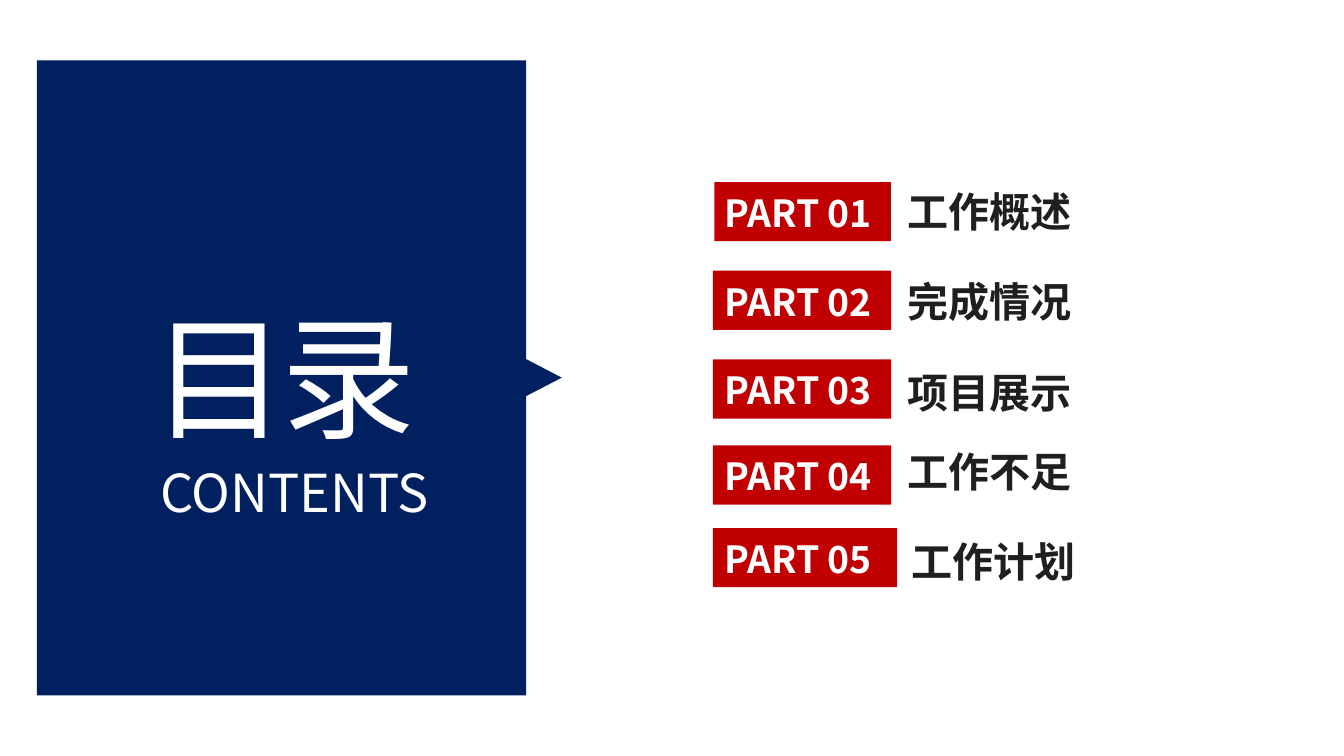
"""Build a contents slide with a navy title panel and five numbered parts."""
from dataclasses import dataclass

from lxml import etree
from pptx import Presentation
from pptx import util as u
from pptx.dml.color import RGBColor
from pptx.enum import shapes, text
from pptx.oxml import ns

WIDTH, HEIGHT = u.Pt(720), u.Pt(405)
COLUMNS, ROWS = 100, 56.25


@dataclass(frozen=True)
class Theme:
    font: str = "Noto Sans CJK SC"
    navy: str = "002060"
    red: str = "C00000"
    white: str = "FFFFFF"
    ink: str = "1F1F1F"
    title_size: int = 72
    subtitle_size: int = 28
    part_size: int = 20
    topic_size: int = 22


@dataclass(frozen=True)
class Area:
    column: float
    row: float
    columns: float
    rows: float

    def frame(self) -> dict:
        return {
            "left": round(WIDTH * self.column / COLUMNS),
            "top": round(HEIGHT * self.row / ROWS),
            "width": round(WIDTH * self.columns / COLUMNS),
            "height": round(HEIGHT * self.rows / ROWS),
        }


@dataclass(frozen=True)
class Style:
    size: int
    color: str
    bold: bool = False
    align: text.PP_ALIGN = text.PP_ALIGN.LEFT
    anchor: text.MSO_ANCHOR = text.MSO_ANCHOR.TOP


@dataclass(frozen=True)
class Part:
    topic: str
    badge_row: float
    topic_row: float
    badge_column: float = 53.05
    badge_end: float = 66.3
    topic_column: float = 66.8


THEME = Theme()
CENTER, MIDDLE = text.PP_ALIGN.CENTER, text.MSO_ANCHOR.MIDDLE
TITLE = Style(THEME.title_size, THEME.white, False, CENTER, MIDDLE)
SUBTITLE = Style(THEME.subtitle_size, THEME.white, False, CENTER)
BADGE = Style(THEME.part_size, THEME.white, True)
TOPIC = Style(THEME.topic_size, THEME.ink, True)

PARTS = [
    Part("工作概述", 13.55, 13.5, badge_column=53.15),
    Part("完成情况", 20.15, 20.2),
    Part("项目展示", 26.75, 26.95),
    Part("工作不足", 33.15, 32.85),
    Part("工作计划", 39.3, 39.5, badge_end=66.75, topic_column=67.1),
]


def apply(target, values: dict) -> None:
    for name, value in values.items():
        setattr(target, name, value)


def draw_block(page, kind, area: Area, color: str, rotation: float = 0) -> None:
    block = page.shapes.add_shape(kind, **area.frame())
    block.shadow.inherit = False
    block.rotation = rotation
    block.fill.solid()
    block.fill.fore_color.rgb = RGBColor.from_string(color)
    block.line.fill.background()


def write(box, words: str, style: Style):
    apply(box.text_frame, {
        "word_wrap": True,
        "auto_size": text.MSO_AUTO_SIZE.SHAPE_TO_FIT_TEXT,
        "vertical_anchor": style.anchor,
        "margin_left": u.Inches(0.07),
        "margin_right": u.Inches(0.07),
        "margin_top": u.Inches(0.04),
        "margin_bottom": u.Inches(0.04),
    })
    para = box.text_frame.paragraphs[0]
    para.alignment = style.align
    span = para.add_run()
    span.text = words
    apply(span.font, {"name": THEME.font, "size": u.Pt(style.size), "bold": style.bold})
    span.font.color.rgb = RGBColor.from_string(style.color)
    east_asian = etree.Element(ns.qn("a:ea"), typeface=THEME.font)
    span.font._element.find(ns.qn("a:latin")).addnext(east_asian)
    return span


def draw_text(page, area: Area, words: str, style: Style) -> None:
    write(page.shapes.add_textbox(**area.frame()), words, style)


def draw_title(page, area: Area, words: str) -> None:
    title = page.shapes.title
    apply(title, area.frame())
    span = write(title, words, TITLE)
    span.font._element.set("spc", "-300")
    page.shapes._spTree.append(title._element)


def draw_part(page, number: int, part: Part) -> None:
    badge = Area(part.badge_column, part.badge_row, part.badge_end - part.badge_column, 4.4)
    draw_block(page, shapes.MSO_SHAPE.RECTANGLE, badge, THEME.red)
    draw_text(page, Area(53.2, part.badge_row + 0.2, 13.9, 4.1), f"PART {number:02d}", BADGE)
    draw_text(page, Area(part.topic_column, part.topic_row, 17, 4.5), part.topic, TOPIC)


def main() -> None:
    deck = Presentation()
    apply(deck, {"slide_width": WIDTH, "slide_height": HEIGHT})
    page = deck.slides.add_slide(deck.slide_layouts.get_by_name("Title Only"))
    draw_block(page, shapes.MSO_SHAPE.RECTANGLE, Area(2.75, 4.5, 36.4, 47.25), THEME.navy)
    draw_block(page, shapes.MSO_SHAPE.ISOSCELES_TRIANGLE, Area(36.5, 25.5, 5.4, 5.2), THEME.navy, 90)
    draw_title(page, Area(6.3, 21.4, 29.7, 12.9), "目录")
    draw_text(page, Area(10.1, 33.85, 23.6, 5.5), "CONTENTS", SUBTITLE)
    for number, part in enumerate(PARTS, 1):
        draw_part(page, number, part)
    deck.save("out.pptx")


if __name__ == "__main__":
    main()
